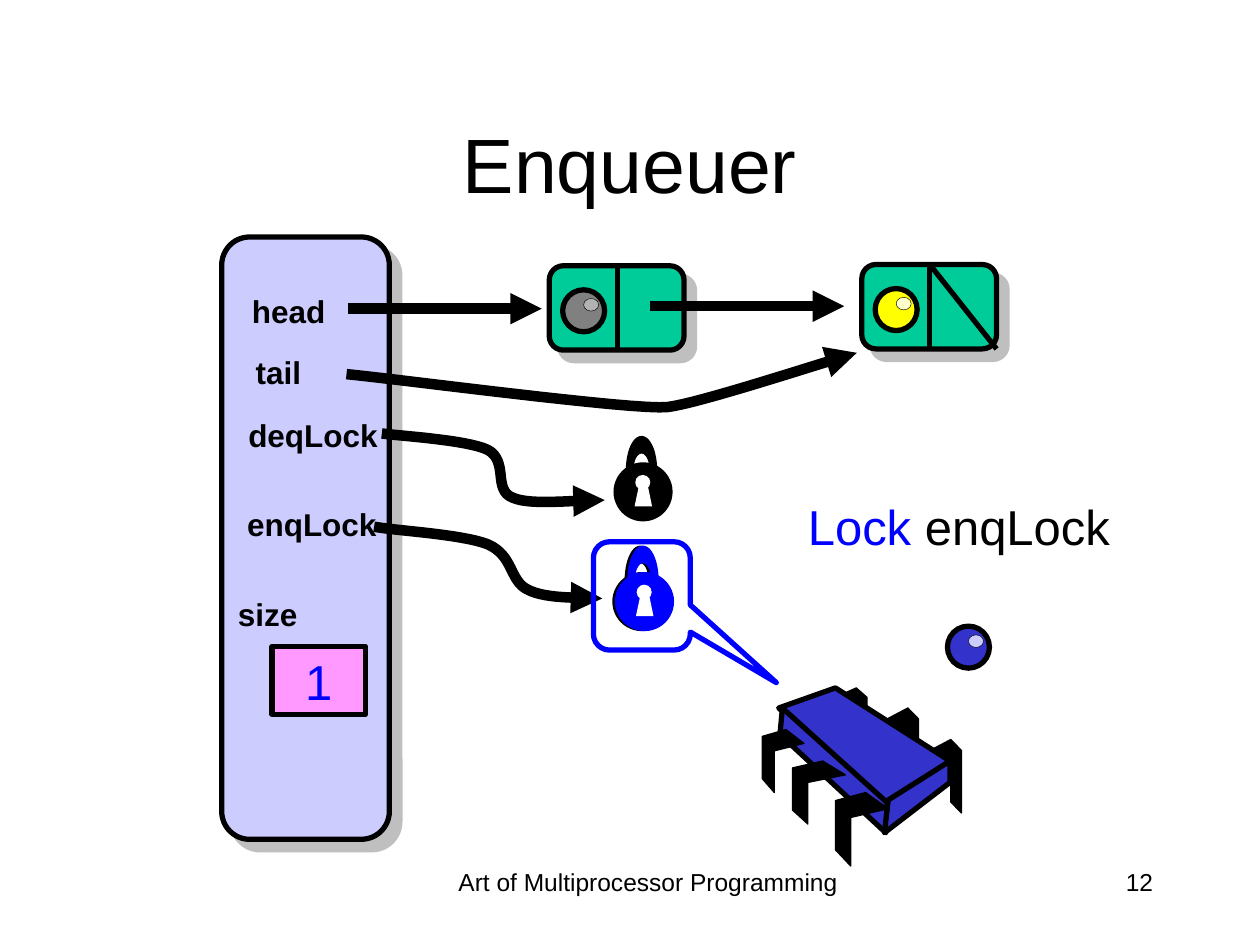
from pptx import Presentation
from pptx.dml.color import RGBColor
from pptx.enum.shapes import MSO_CONNECTOR, MSO_SHAPE
from pptx.enum.text import MSO_ANCHOR, PP_ALIGN
from pptx.oxml import parse_xml
from pptx.oxml.ns import nsdecls
from pptx.util import Pt

OVAL, RECT = MSO_SHAPE.OVAL, MSO_SHAPE.RECTANGLE
ROUND_RECT = MSO_SHAPE.ROUNDED_RECTANGLE
CALLOUT = MSO_SHAPE.ROUNDED_RECTANGULAR_CALLOUT
STRAIGHT = MSO_CONNECTOR.STRAIGHT
TOP, MIDDLE = MSO_ANCHOR.TOP, MSO_ANCHOR.MIDDLE
CENTER, RIGHT = PP_ALIGN.CENTER, PP_ALIGN.RIGHT

BLACK, WHITE = RGBColor(0, 0, 0), RGBColor(255, 255, 255)
BLUE = RGBColor(0x00, 0x00, 0xFF)
LAVENDER = RGBColor(0xCC, 0xCC, 0xFF)
GREEN = RGBColor(0x00, 0xCC, 0x99)
GRAY, LIGHT_GRAY = RGBColor(0x80, 0x80, 0x80), RGBColor(0xB2, 0xB2, 0xB2)
YELLOW, CREAM = RGBColor(0xFF, 0xFF, 0x00), RGBColor(0xFF, 0xFF, 0xCC)
PINK = RGBColor(0xFF, 0x99, 0xFF)
INDIGO = RGBColor(0x33, 0x33, 0xCC)

# Two numbers are a line to a point; six are a Bezier curve.
SHACKLE = [(11.4, 20.2), (11.4, 14.4, 13.4, 10.1, 16, 10.1),
           (18.6, 10.1, 20.6, 14.4, 20.6, 20.2), (25, 20.2),
           (25, 8.6, 21, 0, 16, 0), (11, 0, 7, 8.6, 7, 20.2)]
SLOT = [(12, 40.3), (14.6, 28.1), (19.5, 28.1), (22, 40.3)]

# Chip legs, as fractions of each leg's box
BACK_LEG = [(0, 0.15), (0.66, 0), (1, 0.15), (1, 1),
            (0.66, 0.85), (0.66, 0.29), (0, 0.43)]
FRONT_LEG = [(0.57, 0), (1, 0.22), (0.29, 0.34), (0.29, 1),
             (0, 0.78), (0, 0.11)]
BACK_BOXES = [(95.8, 29.5, 18, 42), (71.3, 11.5, 18, 42), (41.8, 0, 18, 36)]
FRONT_BOXES = [(41.8, 59.8, 30.2, 42), (17.3, 41.8, 30.2, 36),
               (0, 23.8, 23.8, 36)]
CHIP_FACES = [
    [(41.8, 0), (107.3, 41.8), (70.6, 67), (9.4, 11.5)],
    [(11.5, 11.5), (71.3, 65.5), (70.6, 82.8), (10.1, 26.6)],
    [(107.3, 41.8), (107.3, 54), (69.8, 82.8), (72, 64.1)],
]


def paint(sp, fill=None, line=None, width=3):
    sp.shadow.inherit = False
    if fill is None:
        sp.fill.background()
    else:
        sp.fill.solid()
        sp.fill.fore_color.rgb = fill
    if line is None:
        sp.line.fill.background()
    else:
        sp.line.color.rgb = line
        sp.line.width = Pt(width)
    return sp


def add_shape(s, kind, x, y, w, h, **style):
    return paint(s.shapes.add_shape(kind, Pt(x), Pt(y), Pt(w), Pt(h)), **style)


def flatten(path, steps=16):
    """Turn lines and cubic curves into a list of points."""
    points = [path[0]]
    for seg in path[1:]:
        if len(seg) == 2:
            points.append(seg)
            continue
        x0, y0 = points[-1]
        x1, y1, x2, y2, x3, y3 = seg
        for i in range(1, steps + 1):
            t = i / steps
            a, b, c, d = (1 - t) ** 3, 3 * t * (1 - t) ** 2, 3 * t * t * (1 - t), t ** 3
            points.append((a * x0 + b * x1 + c * x2 + d * x3,
                           a * y0 + b * y1 + c * y2 + d * y3))
    return points


def add_outline(s, path, x=0, y=0, close=True, **style):
    first, *rest = [(Pt(x + px), Pt(y + py)) for px, py in flatten(path)]
    builder = s.shapes.build_freeform(*first)
    builder.add_line_segments(rest, close=close)
    return paint(builder.convert_to_shape(), **style)


def add_arrowhead(sp):
    sp.line._get_or_add_ln().append(
        parse_xml(f'<a:tailEnd {nsdecls("a")} type="triangle"/>'))


def add_line(s, x1, y1, x2, y2, width=3):
    cn = s.shapes.add_connector(STRAIGHT, Pt(x1), Pt(y1), Pt(x2), Pt(y2))
    cn.line.color.rgb = BLACK
    cn.line.width = Pt(width)
    cn._element.spPr.append(parse_xml(f'<a:effectLst {nsdecls("a")}/>'))
    return cn


def add_curved_arrow(s, path):
    add_arrowhead(add_outline(s, path, close=False, line=BLACK, width=6))


def drop_shadow(sp):
    spPr = sp._element.spPr
    spPr.remove(spPr.effectLst)
    spPr.append(parse_xml(
        f'<a:effectLst {nsdecls("a")}>'
        f'<a:outerShdw dist="{Pt(17)}" dir="2700000" algn="ctr" rotWithShape="0">'
        '<a:srgbClr val="808080"><a:alpha val="50000"/></a:srgbClr>'
        '</a:outerShdw></a:effectLst>'.replace(str(Pt(17)), str(Pt(8.5)))))


def write(sp, runs, size, bold=False, align=CENTER, anchor=TOP, wrap=True):
    """Fill a shape with one paragraph of (text, colour) runs."""
    tf = sp.text_frame
    tf.word_wrap = wrap
    tf.vertical_anchor = anchor
    p = tf.paragraphs[0]
    p.alignment = align
    for text, color in runs:
        r = p.add_run()
        r.text = text
        for name, value in {"name": "Arial", "size": Pt(size), "bold": bold}.items():
            setattr(r.font, name, value)
        r.font.color.rgb = color


def add_text(s, x, y, w, h, *runs, **style):
    write(s.shapes.add_textbox(Pt(x), Pt(y), Pt(w), Pt(h)), runs, **style)


def add_ball(s, x, y, color, shine):
    add_shape(s, OVAL, x, y, 24, 24, fill=color, line=BLACK)
    add_shape(s, OVAL, x + 12, y + 5, 8.6, 7.2, fill=shine, line=BLACK, width=0.25)


def add_node(s, x, y, color, shine, last=False):
    """Draw a list node; the last one has a struck-out next field."""
    w, h, middle = 77, 48.2, 38.8
    box = add_shape(s, ROUND_RECT, x, y, w, h, fill=GREEN, line=BLACK)
    box.adjustments[0] = 0.167
    drop_shadow(box)
    add_line(s, x + middle, y, x + middle, y + h)
    if last:
        add_line(s, x + middle, y, x + w, y + h)
    add_ball(s, x + 7.6, y + 13.7, color, shine)


def add_lock(s, x, y, color):
    add_shape(s, OVAL, x, y + 15.1, 33.8, 33.8, fill=color)
    add_shape(s, OVAL, x + 12.4, y + 22.3, 8.6, 8.6, fill=WHITE)
    add_outline(s, SLOT, x, y, fill=WHITE)
    add_outline(s, SHACKLE, x, y, fill=color)


def add_legs(s, x, y, profile, boxes):
    for left, top, w, h in boxes:
        add_outline(s, [(fx * w, fy * h) for fx, fy in profile],
                    x + left, y + top, fill=BLACK, line=BLACK, width=0.75)


def add_chip(s, x, y):
    add_legs(s, x, y, BACK_LEG, BACK_BOXES)
    for face in CHIP_FACES:
        add_outline(s, face, x, y, fill=INDIGO, line=BLACK)
    add_legs(s, x, y, FRONT_LEG, FRONT_BOXES)


def add_queue_panel(s, x, y, w, h):
    panel = add_shape(s, ROUND_RECT, x, y, w, h, fill=LAVENDER, line=BLACK)
    panel.adjustments[0] = 0.167
    drop_shadow(panel)
    fields = [("head", 10.1, 28.1, 56.2), ("tail", 12.2, 62.6, 40.3),
              ("deqLock", 7.9, 98.6, 88.6), ("enqLock", 7.2, 149.8, 88.6),
              ("size", 2.2, 200.9, 48.2)]
    for name, left, top, width in fields:
        add_text(s, x + left, y + top, width, 28.8, (name, BLACK),
                 size=18, bold=True, wrap=False)
    count = add_shape(s, RECT, x + 28.8, y + 234, 53.3, 38.9, fill=PINK, line=BLACK)
    write(count, [("1", BLUE)], 28, anchor=MIDDLE, wrap=False)


def add_pointers(s):
    for x1, x2, y in [(198.7, 309.6, 176.4), (371.5, 482.4, 175)]:
        add_arrowhead(add_line(s, x1, y, x2, y, width=6))
    add_curved_arrow(s, [(198, 213.8), (228.2, 216.7, 362.9, 234.7, 381.6, 232.6),
                         (399.6, 230.4, 467.3, 208.1, 489.6, 201.6)])
    add_curved_arrow(s, [(218.2, 247.7), (228.2, 249.1, 266.4, 251.3, 278.6, 257),
                         (290.9, 263.5, 281.5, 280.1, 293, 284.4),
                         (303.8, 289.4, 334.8, 285.1, 345.6, 285.8)])
    add_curved_arrow(s, [(213.8, 301), (224.6, 303.1, 264.2, 305.3, 278.6, 311),
                         (293.8, 317.5, 290.9, 331.9, 301.7, 337),
                         (312.5, 342.7, 334.8, 341.3, 344.2, 342)])


def main():
    prs = Presentation()
    prs.slide_width, prs.slide_height = Pt(720), Pt(540)
    s = prs.slides.add_slide(prs.slide_layouts[6])
    add_queue_panel(s, 126.7, 135.4, 95.8, 344.2)
    add_text(s, 246.2, 491.8, 248.4, 36, ("Art of Multiprocessor Programming", BLACK), size=14)
    add_text(s, 516.2, 491.8, 149.8, 36, ("12", BLACK), size=14, align=RIGHT)
    add_text(s, 54, 48.2, 612, 90, ("Enqueuer", BLACK), size=44, anchor=MIDDLE)
    add_node(s, 313.9, 151.9, GRAY, LIGHT_GRAY)
    add_node(s, 492.5, 151.2, YELLOW, CREAM, last=True)
    for x, y, color in [(349.9, 311.8, BLACK), (351.4, 311.8, BLUE), (350.6, 249.1, BLACK)]:
        add_lock(s, x, y, color)
    add_pointers(s)
    callout = add_shape(s, CALLOUT, 339.1, 309.6, 55.4, 61.9, line=BLUE)
    for i, value in enumerate((1.387, 0.8, 0.167)):
        callout.adjustments[i] = value
    add_text(s, 414.7, 280.1, 266.4, 41, ("Lock ", BLUE), ("enqLock", BLACK), size=28)
    add_chip(s, 435.6, 393.1)
    add_ball(s, 541.4, 357.8, INDIGO, LAVENDER)
    prs.save("out.pptx")


if __name__ == "__main__":
    main()
